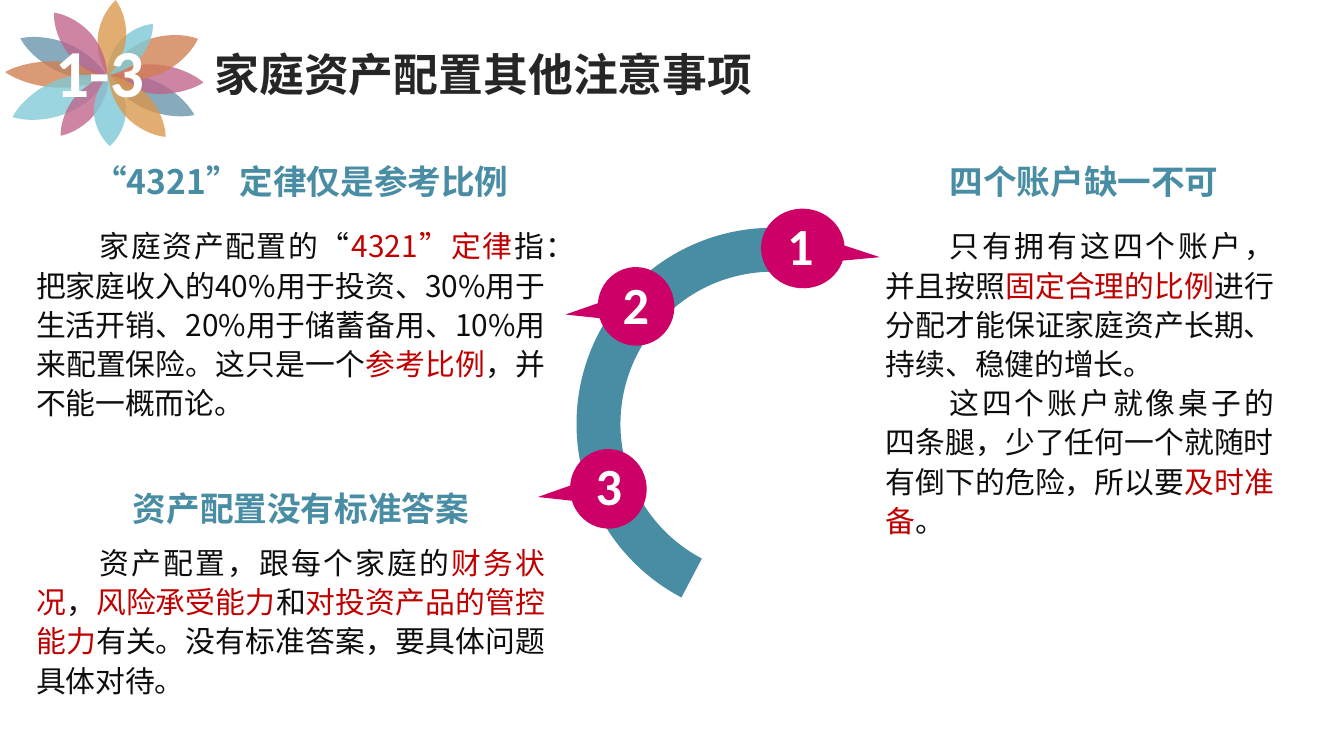
from lxml import etree
from pptx import Presentation
from pptx import util as u
from pptx.dml.color import RGBColor
from pptx.enum import shapes, text
from pptx.oxml import ns

PX = 9144
CJK, LATIN = "Noto Sans CJK SC", "Calibri"
COLORS = {
    "teal": "498DA4", "magenta": "CC0066", "white": "FFFFFF", "body": "0D0D0D",
    "red": "C00000", "title": "262626", "blue": "6694AB", "orange": "D27E50",
    "pink": "BF638A", "cyan": "80CAD7", "amber": "DB9649",
}
FONTS = {
    "title": {"size": u.Pt(32), "bold": True, "name": CJK},
    "heading": {"size": u.Pt(24), "bold": True, "name": CJK},
    "body": {"size": u.Pt(21.3), "name": CJK},
    "marker": {"size": u.Pt(37.3), "bold": True, "name": LATIN},
    "section": {"size": u.Pt(48), "bold": True, "name": LATIN},
}
PARAGRAPHS = {
    "heading": {"alignment": text.PP_ALIGN.CENTER},
    "body": {"alignment": text.PP_ALIGN.JUSTIFY, "line_spacing": u.Pt(28)},
}
BODY_INDENT = 63

HEADINGS = [
    (67, 155, "“4321”定律仅是参考比例"),
    (844, 155, "四个账户缺一不可"),
    (67, 479, "资产配置没有标准答案"),
]
BODIES = [
    ((26, 218, 525, 206), [
        "家庭资产配置的“|4321”定律|指：把家庭收入的40%用于投资、30%用于生活开销、"
        "20%用于储蓄备用、10%用来配置保险。这只是一个|参考比例|，并不能一概而论。"]),
    ((869, 218, 405, 324), [
        "只有拥有这四个账户，并且按照|固定合理的比例|进行分配才能保证家庭资产长期、持续、稳健的增长。",
        "这四个账户就像桌子的四条腿，少了任何一个就随时有倒下的危险，所以要|及时准备|。"]),
    ((26, 532, 525, 167), [
        "资产配置，跟每个家庭的|财务状况|，|风险承受能力|和|对投资产品的管控能力|"
        "有关。没有标准答案，要具体问题具体对待。"]),
]
MARKERS = [
    ("1", (757, 205, 79, 83), 274.8, -0.028, (771, 207, 50, 73)),
    ("2", (592, 266, 78, 76), 85.2, 0.028, (608, 265, 46, 73)),
    ("3", (564, 447, 79, 76), 85.2, 0.028, (581, 445, 46, 73)),
]
PETALS = [
    ((49, 10, 29, 95), 294.2, "blue", 78), ((135, 47, 29, 95), 294.2, "blue", 78),
    ((43, 23, 26, 102), 92.8, "orange", 78), ((140, 31, 29, 95), 274, "pink", 78),
    ((43, 45, 34, 103), 247.6, "cyan", 78), ((133, 8, 36, 98), 67.9, "orange", 78),
    ((71, 67, 26, 76), 218.8, "pink", 78), ((116, 15, 26, 68), 221.9, "cyan", 81),
    ((97, 0, 28, 75), 5.9, "amber", 78), ((93, 74, 32, 71), 0, "cyan", 81),
    ((65, 3, 30, 83), 320.5, "pink", 78), ((121, 64, 30, 83), 136.9, "amber", 78),
]
PETAL_SIDE = [(0.5, 0), (0.8, 0.12), (1, 0.32), (1, 0.5), (1, 0.68), (0.8, 0.88)]
PETAL_NODES = PETAL_SIDE + [(1 - x, 1 - y) for x, y in PETAL_SIDE] + PETAL_SIDE[:1]


def emu(*lengths):
    return [u.Emu(n * PX) for n in lengths]


def rgb(color):
    return RGBColor.from_string(COLORS[color])


def apply(obj, values):
    for name, value in values.items():
        setattr(obj, name, value)


def paint(sp, color, opacity=100):
    sp.shadow.inherit = False
    sp.fill.solid()
    sp.fill.fore_color.rgb = rgb(color)
    sp.line.fill.background()
    if opacity < 100:
        clr = sp._element.spPr.find(".//" + ns.qn("a:srgbClr"))
        etree.SubElement(clr, ns.qn("a:alpha")).set("val", str(opacity * 1000))


def add_run(p, words, style, color):
    r = p.add_run()
    r.text = words
    apply(r.font, FONTS[style])
    r.font.color.rgb = rgb(color)
    rPr = r._r.get_or_add_rPr()
    rPr.set("lang", "zh-CN")
    etree.SubElement(rPr, ns.qn("a:ea")).set("typeface", CJK)


def add_text(parent, box, paragraphs, style, color):
    tf = parent.add_textbox(*emu(*box)).text_frame
    apply(tf, {"word_wrap": True, "auto_size": text.MSO_AUTO_SIZE.SHAPE_TO_FIT_TEXT})
    for i, words in enumerate(paragraphs):
        p = tf.add_paragraph() if i else tf.paragraphs[0]
        apply(p, PARAGRAPHS.get(style, {}))
        if style == "body":
            p._p.get_or_add_pPr().set("indent", str(BODY_INDENT * PX))
        for k, part in enumerate(words.split("|")):
            add_run(p, part, style, "red" if k % 2 else color)


def add_preset(parent, preset, box, angle, adjustments, color):
    sp = parent.add_shape(preset, *emu(*box))
    sp.rotation = angle
    for i, value in enumerate(adjustments):
        sp.adjustments[i] = value
    paint(sp, color)


def add_marker(parent, label, box, angle, tail, label_box):
    add_preset(parent, shapes.MSO_SHAPE.OVAL_CALLOUT, box, angle, (tail, 0.927), "magenta")
    add_text(parent, label_box, [label], "marker", "white")


def curve_outline(sp):
    segments = list(sp._element.spPr.iter(ns.qn("a:lnTo")))
    for i in range(0, len(segments), 3):
        curve = etree.Element(ns.qn("a:cubicBezTo"))
        segments[i].addprevious(curve)
        for segment in segments[i:i + 3]:
            curve.append(segment[0])
            segment.getparent().remove(segment)


def add_petal(parent, box, angle, color, opacity):
    left, top, width, height = emu(*box)
    outline = [(round(left + x * width), round(top + y * height)) for x, y in PETAL_NODES]
    builder = parent.build_freeform(*outline[0])
    builder.add_line_segments(outline[1:], close=True)
    sp = builder.convert_to_shape()
    curve_outline(sp)
    sp.rotation = angle
    paint(sp, color, opacity)


def main():
    prs = Presentation()
    prs.slide_height = u.Emu(750 * PX)
    prs.slide_width = u.Emu(prs.slide_height * 16 // 9)
    s = prs.slides.add_slide(prs.slide_layouts[6])
    for left, top, words in HEADINGS:
        add_text(s.shapes, (left, top, 463, 50), [words], "heading", "teal")
    diagram = s.shapes.add_group_shape().shapes
    add_preset(diagram, shapes.MSO_SHAPE.BLOCK_ARC, (572, 226, 389, 389), 285.6,
               (192.1 * 0.6, 347.8 * 0.6, 0.112), "teal")
    for marker in MARKERS:
        add_marker(diagram, *marker)
    for box, paragraphs in BODIES:
        add_text(s.shapes, box, paragraphs, "body", "body")
    flower = s.shapes.add_group_shape().shapes
    for petal in PETALS:
        add_petal(flower, *petal)
    add_text(s.shapes, (203, 41, 733, 64), ["家庭资产配置其他注意事项"], "title", "title")
    add_text(s.shapes, (45, 25, 127, 91), ["1-3"], "section", "white")
    prs.save("out.pptx")


if __name__ == "__main__":
    main()
